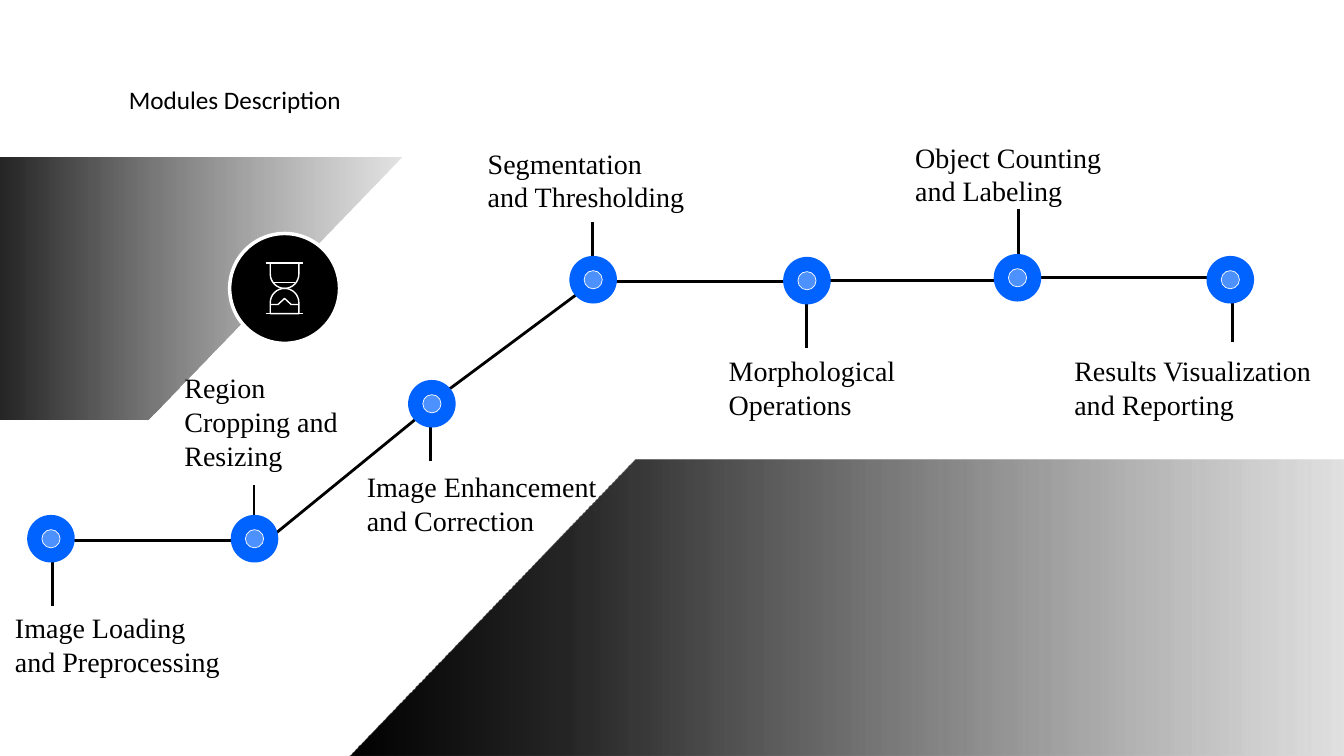
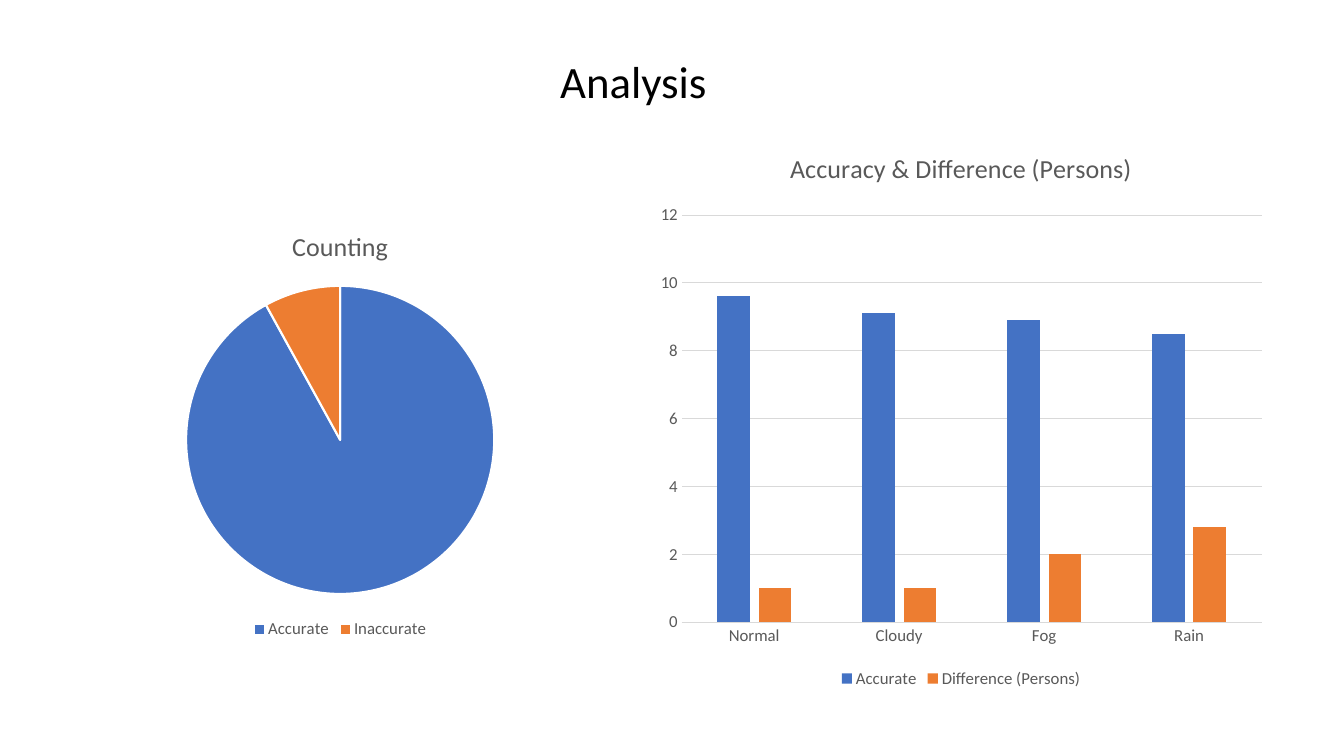
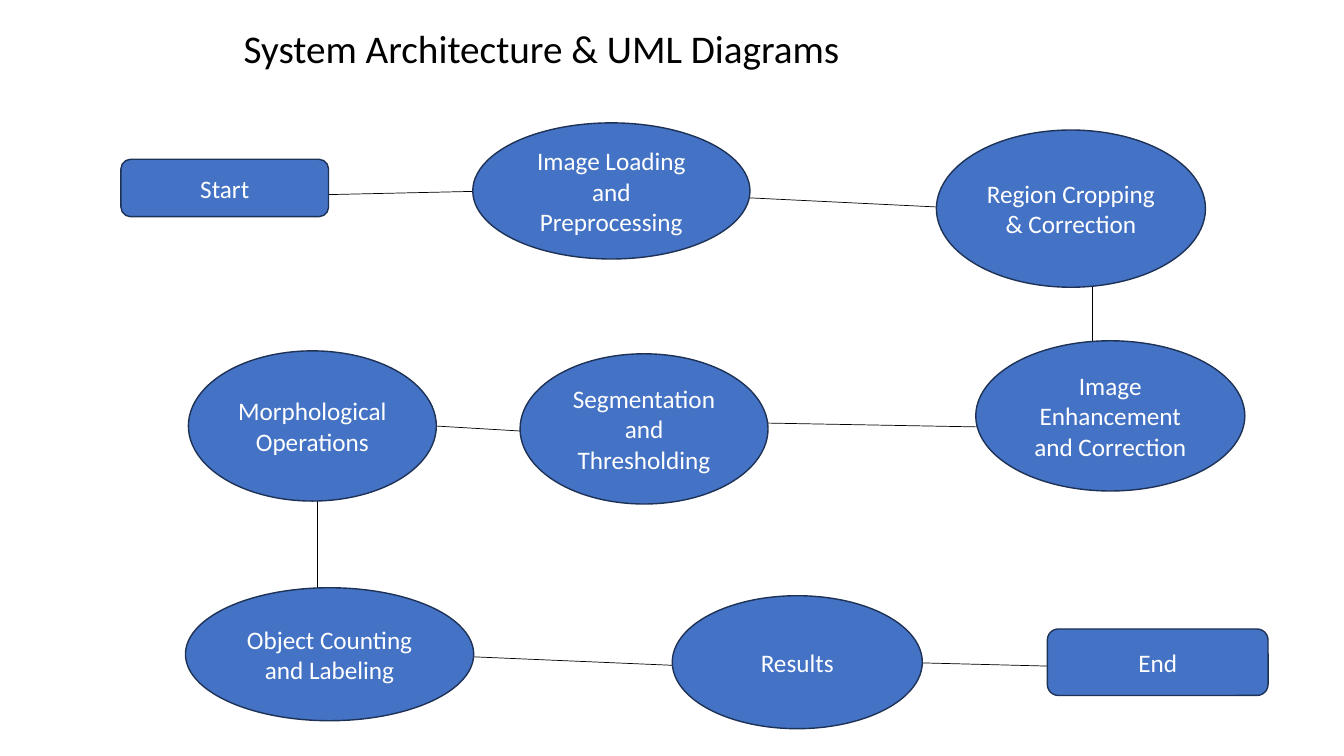
from math import cos, pi, sin

from lxml import etree
from pptx import Presentation
from pptx.chart.data import CategoryChartData
from pptx.dml.color import RGBColor
from pptx.enum.chart import XL_CHART_TYPE, XL_LEGEND_POSITION, XL_TICK_MARK
from pptx.enum.shapes import MSO_CONNECTOR, MSO_SHAPE
from pptx.enum.text import PP_ALIGN
from pptx.oxml.ns import qn
from pptx.util import Pt

OVAL, ROUNDED = MSO_SHAPE.OVAL, MSO_SHAPE.ROUNDED_RECTANGLE
STRAIGHT = MSO_CONNECTOR.STRAIGHT
PIE, COLUMNS = XL_CHART_TYPE.PIE, XL_CHART_TYPE.COLUMN_CLUSTERED
BOTTOM, NO_TICK = XL_LEGEND_POSITION.BOTTOM, XL_TICK_MARK.NONE
LEFT, CENTER = PP_ALIGN.LEFT, PP_ALIGN.CENTER

BLACK, WHITE = RGBColor(0, 0, 0), RGBColor(255, 255, 255)
DOT_BLUE = RGBColor(0x00, 0x62, 0xFF)
BLUE, ORANGE = RGBColor(0x44, 0x72, 0xC4), RGBColor(0xED, 0x7D, 0x31)
NAVY = RGBColor(0x1E, 0x32, 0x56)
TEXT_GRAY, GRID_GRAY = RGBColor(0x59, 0x59, 0x59), RGBColor(0xD9, 0xD9, 0xD9)
SANS, SERIF = "Calibri", "Times New Roman"

# Timeline: label, label box, dot centre, stem (x and top)
STAGES = [
    ("Image Loading and Preprocessing", (3.6, 432.7, 161.3, 55.4), (36.4, 384.8), (37.4, 385.2)),
    ("Region Cropping and Resizing", (124.6, 261.4, 139, 79.9), (181.8, 384.8), (181.4, 346.5)),
    ("Image Enhancement and Correction", (254.9, 331.9, 187.9, 55.4), (308.5, 288.4), (307.8, 281.5)),
    ("Segmentation and Thresholding", (341.3, 100.8, 157, 55.4), (423.7, 199.8), (423, 158.4)),
    ("Morphological Operations", (513.4, 249.1, 139.7, 55.4), (576.4, 200.5), (576, 200.9)),
    ("Object Counting and Labeling", (646.6, 96.5, 157, 55.4), (726.8, 198.4), (727.6, 149)),
    ("Results Visualization and Reporting", (760.3, 249.1, 184.3, 55.4), (878.8, 199.8), (880.6, 196.6)),
]
STAGE_LINKS = [
    (41, 385.9, 180.7, 385.9), (186.5, 389.5, 308.2, 290.2),
    (313.2, 283.7, 425.5, 200.2), (430.6, 200.9, 569.5, 200.9),
    (583.2, 200.2, 722.9, 200.2), (730.1, 198, 869.8, 198),
]
STEM, DOT, DOT_CORE = 47.6, 34, 13
# Bands: outline, gradient stops (percent, colour, opacity percent)
BANDS = [
    ([(453.6, 328.3), (960, 328.3), (960, 540), (249.8, 540)],
     [(0, "000000", 100), (21, "242424", 100), (100, "404040", 15)]),
    ([(0, 112.3), (286.6, 112.3), (105.8, 299.5), (0, 299.5)],
     [(0, "000000", 86), (100, "404040", 15)]),
]

# Charts
PIE_CATS = ["Accurate", "Inaccurate"]
PIE_SERIES = [("Series 1", [92, 8])]
WEATHER_CATS = ["Normal", "Cloudy", "Fog", "Rain"]
WEATHER_SERIES = [("Accurate", [9.6, 9.1, 8.9, 8.5]), ("Difference (Persons)", [1, 1, 2, 2.8])]

# Flowchart
FLOW = [
    ("Start", ROUNDED, (86.4, 113.8, 148.3, 41)),
    ("Image Loading and Preprocessing", OVAL, (337.7, 87.8, 198, 97.2)),
    ("Region Cropping & Correction", OVAL, (668.9, 92.9, 192.2, 112.3)),
    ("Image Enhancement and Correction", OVAL, (697, 243.4, 192.2, 107.3)),
    ("Segmentation and Thresholding", OVAL, (371.5, 252.7, 177.1, 107.3)),
    ("Morphological Operations", OVAL, (134.6, 250.6, 177.1, 107.3)),
    ("Object Counting and Labeling", OVAL, (132.5, 419.8, 205.9, 95)),
    ("Results", OVAL, (480.2, 425.5, 178.6, 95)),
    ("End", ROUNDED, (748.1, 449.3, 157.7, 47.5)),
]
FLOW_LINKS = [
    (203.8, 139.7, 365.8, 136.1), (501.8, 139.7, 678.2, 148.3),
    (780.5, 185, 780.5, 270), (520.6, 301.7, 717.8, 305.3),
    (267.1, 301.7, 401, 309.6), (226.8, 340.6, 226.8, 425.5),
    (311, 468, 512.6, 476.6), (638.6, 473, 780.5, 476.6),
]


def pts(values):
    return [Pt(v) for v in values]


def set_font(font, size, color, name=SANS):
    font.size, font.name, font.bold = Pt(size), name, False
    font.color.rgb = color


def add_text(s, text, box, size, name=SANS, align=LEFT):
    tf = s.shapes.add_textbox(*pts(box)).text_frame
    tf.word_wrap = True
    p = tf.paragraphs[0]
    p.text, p.alignment = text, align
    set_font(p.font, size, BLACK, name)


def add_line(s, ends, width, color=BLACK):
    c = s.shapes.add_connector(STRAIGHT, *pts(ends))
    c.line.color.rgb, c.line.width = color, Pt(width)
    etree.SubElement(c.element.spPr, qn("a:effectLst"))


def style(sp, fill=None, line=None, width=1):
    sp.shadow.inherit = False
    if fill is None:
        sp.fill.background()
    else:
        sp.fill.solid()
        sp.fill.fore_color.rgb = fill
    if line is None:
        sp.line.fill.background()
    else:
        sp.line.color.rgb, sp.line.width = line, Pt(width)


def add_circle(s, center, size, fill, line=None, width=1):
    x, y = center
    sp = s.shapes.add_shape(OVAL, *pts((x - size / 2, y - size / 2, size, size)))
    style(sp, fill, line, width)
    return sp


def add_outline(s, points, close=True):
    start, *rest = [pts(point) for point in points]
    fb = s.shapes.build_freeform(*start, scale=1.0)
    fb.add_line_segments(rest, close=close)
    return fb.convert_to_shape()


def set_opacity(color, percent):
    etree.SubElement(color, qn("a:alpha"), val=str(percent * 1000))


def add_band(s, points, stops):
    sp = add_outline(s, points)
    style(sp)
    sp.fill.gradient()
    sp.fill.gradient_angle = 0
    gs_list = sp.element.spPr.find(".//" + qn("a:gsLst"))
    for gs in list(gs_list):
        gs_list.remove(gs)
    for position, color, opacity in stops:
        gs = etree.SubElement(gs_list, qn("a:gs"), pos=str(position * 1000))
        set_opacity(etree.SubElement(gs, qn("a:srgbClr"), val=color), opacity)


def add_hourglass(s, x, y):
    radius, height, steps = 10.2, 18, 16
    add_circle(s, (x, y), 78.5, BLACK, WHITE, 2.5)
    for side in (-1, 1):  # upper and lower bulb
        arc = [(x + radius * cos(pi * i / steps),
                y + side * radius * (1 - sin(pi * i / steps))) for i in range(steps + 1)]
        edge = y + side * height
        style(add_outline(s, [(x + radius, edge), *arc, (x - radius, edge)]), line=WHITE)
        add_line(s, (x - 13.3, edge, x + 13.3, edge), 1, WHITE)
    sand = [(-radius, 11.5), (-4.7, 11.5), (0, 7.2), (4.7, 11.5), (radius, 11.5)]
    style(add_outline(s, [(x + dx, y + dy) for dx, dy in sand], close=False), line=WHITE)
    add_line(s, (x - 7.6, y - 4.3, x + 7.6, y - 4.3), 1, WHITE)


def add_chart(s, kind, box, title, cats, series):
    data = CategoryChartData()
    data.categories = cats
    for name, values in series:
        data.add_series(name, values)
    chart = s.shapes.add_chart(kind, *pts(box), data).chart
    set_font(chart.font, 12, TEXT_GRAY)
    chart.has_title = True
    p = chart.chart_title.text_frame.paragraphs[0]
    p.text = title
    set_font(p.font, 18.6, TEXT_GRAY)
    chart.chart_title.include_in_layout = False
    chart.has_legend = True
    chart.legend.position = BOTTOM
    chart.legend.include_in_layout = False
    set_font(chart.legend.font, 12, TEXT_GRAY)
    return chart


def paint(part, color):
    part.format.fill.solid()
    part.format.fill.fore_color.rgb = color


def modules_slide(s):
    for _, _, _, (x, top) in STAGES:
        add_line(s, (x, top, x, top + STEM), 2)
    for ends in STAGE_LINKS:
        add_line(s, ends, 2)
    add_text(s, "Modules Description", (85, 56.9, 480.2, 28.8), 18)
    for points, stops in BANDS:
        add_band(s, points, stops)
    for label, box, center, _ in STAGES:
        add_circle(s, center, DOT, DOT_BLUE)
        core = add_circle(s, center, DOT_CORE, WHITE, WHITE, 0.5)
        set_opacity(core.element.spPr.find(qn("a:solidFill"))[0], 30)
        add_text(s, label, box, 20, SERIF)
    add_hourglass(s, 203.3, 206)


def analysis_slide(s):
    add_text(s, "Analysis", (212.4, 34.6, 480.2, 46.1), 32, align=CENTER)
    # Pie
    plot = add_chart(s, PIE, (49.7, 149.8, 386.6, 309.6), "Counting", PIE_CATS, PIE_SERIES).plots[0]
    plot.vary_by_categories = True
    for i, color in enumerate((BLUE, ORANGE)):
        point = plot.series[0].points[i]
        paint(point, color)
        point.format.line.color.rgb, point.format.line.width = WHITE, Pt(1.5)
    # Columns
    chart = add_chart(s, COLUMNS, (463, 92.2, 447.1, 402.5), "Accuracy & Difference (Persons)",
                      WEATHER_CATS, WEATHER_SERIES)
    plot = chart.plots[0]
    plot.vary_by_categories, plot.gap_width, plot.overlap = False, 219, -27
    for series, color in zip(plot.series, (BLUE, ORANGE)):
        paint(series, color)
    for axis in (chart.category_axis, chart.value_axis):
        axis.major_tick_mark = axis.minor_tick_mark = NO_TICK
        set_font(axis.tick_labels.font, 12, TEXT_GRAY)
    chart.value_axis.format.line.fill.background()
    for line in (chart.category_axis.format.line, chart.value_axis.major_gridlines.format.line):
        line.color.rgb, line.width = GRID_GRAY, Pt(0.75)


def architecture_slide(s):
    for ends in FLOW_LINKS:
        add_line(s, ends, 0.5)
    add_text(s, "System Architecture & UML Diagrams", (167, 13.7, 625.7, 41), 28)
    for text, kind, box in FLOW:
        sp = s.shapes.add_shape(kind, *pts(box))
        style(sp, BLUE, NAVY)
        sp.text_frame.word_wrap = True
        p = sp.text_frame.paragraphs[0]
        p.text, p.alignment = text, CENTER
        set_font(p.font, 18, WHITE)


def main():
    prs = Presentation()
    prs.slide_width, prs.slide_height = Pt(960), Pt(540)
    for build in (modules_slide, analysis_slide, architecture_slide):
        build(prs.slides.add_slide(prs.slide_layouts[6]))
    prs.save("out.pptx")


if __name__ == "__main__":
    main()
